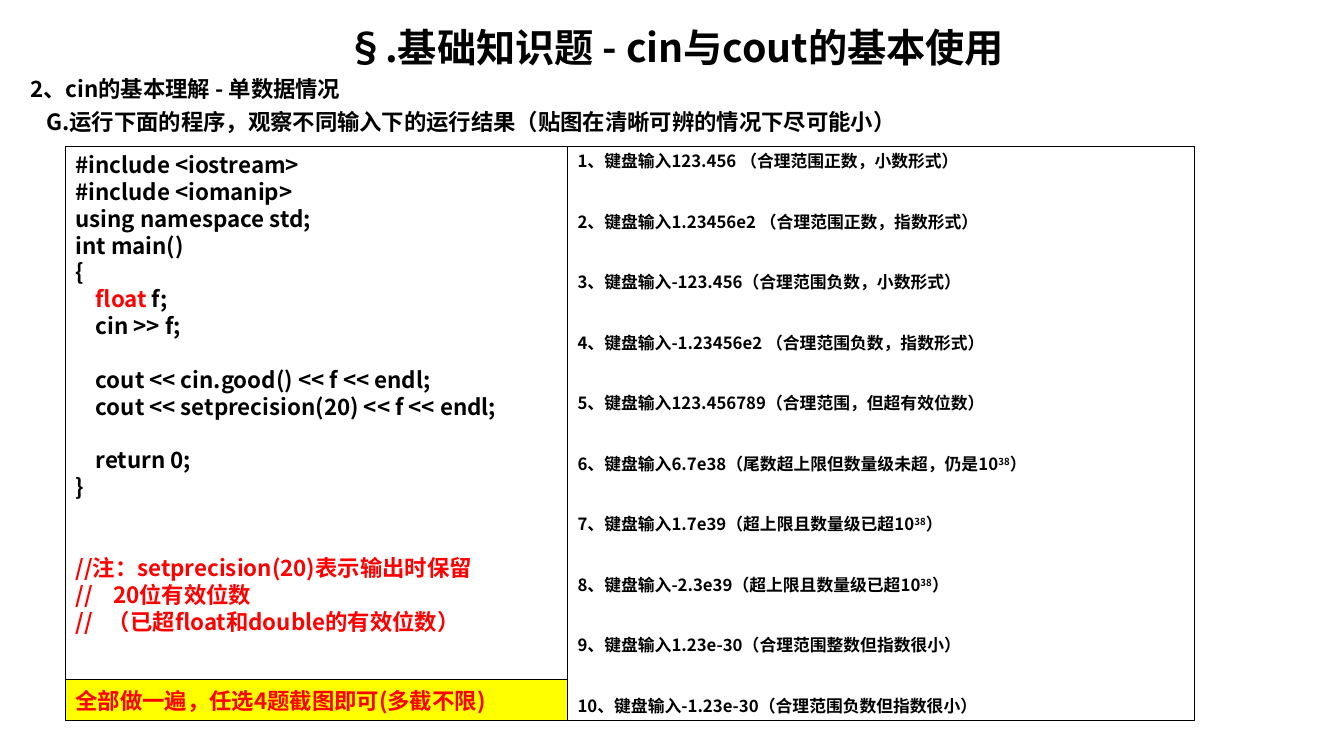
from dataclasses import dataclass

from lxml.etree import SubElement
from pptx import Presentation
from pptx.dml.color import RGBColor
from pptx.enum.shapes import MSO_SHAPE as Shape
from pptx.enum.text import MSO_ANCHOR as Anchor, PP_ALIGN as Align
from pptx.oxml.ns import qn
from pptx.util import Inches, Pt


@dataclass(frozen=True)
class Theme:
    face: str = "Noto Sans CJK SC"
    ink: RGBColor = RGBColor(0, 0, 0)
    accent: RGBColor = RGBColor(255, 0, 0)
    highlight: RGBColor = RGBColor(255, 255, 0)
    title: int = 28
    body: int = 16
    question: int = 12
    leading: float = 1.2  # line height relative to type size


THEME = Theme()

CODE = """#include <iostream>
#include <iomanip>
using namespace std;
int main()
{
    float f;
    cin >> f;

    cout << cin.good() << f << endl;
    cout << setprecision(20) << f << endl;

    return 0;
}


//注：setprecision(20)表示输出时保留
//    20位有效位数
//   （已超float和double的有效位数）"""

# A caret pair encloses an exponent
QUESTIONS = [
    "123.456 （合理范围正数，小数形式）",
    "1.23456e2 （合理范围正数，指数形式）",
    "-123.456（合理范围负数，小数形式）",
    "-1.23456e2 （合理范围负数，指数形式）",
    "123.456789（合理范围，但超有效位数）",
    "6.7e38（尾数超上限但数量级未超，仍是10^38^）",
    "1.7e39（超上限且数量级已超10^38^）",
    "-2.3e39（超上限且数量级已超10^38^）",
    "1.23e-30（合理范围整数但指数很小）",
    "-1.23e-30（合理范围负数但指数很小）",
]


def add_run(paragraph, text, size, color=THEME.ink, raised=False):
    run = paragraph.add_run()
    run.text = text
    formats = {"size": Pt(size), "bold": True, "name": THEME.face}
    for name, value in formats.items():
        setattr(run.font, name, value)
    run.font.color.rgb = color
    props = run._r.get_or_add_rPr()
    SubElement(props, qn("a:ea"), typeface=THEME.face)
    if raised:
        props.set("baseline", "30000")


def next_paragraph(frame, gap=0.0, align=Align.LEFT):
    """Use the empty first paragraph, then append spaced ones."""
    first = frame.paragraphs[0]
    if first.runs:
        first = frame.add_paragraph()
        first.space_before = Pt(gap)
    first.alignment = align
    return first


def add_panel(slide, box, anchor=Anchor.TOP, fill=None):
    panel = slide.shapes.add_shape(Shape.RECTANGLE, *map(Inches, box))
    panel.shadow.inherit = False
    if fill is None:
        panel.fill.background()
    else:
        panel.fill.solid()
        panel.fill.fore_color.rgb = fill
    panel.line.color.rgb = THEME.ink
    panel.line.width = Pt(0.75)
    panel.text_frame.word_wrap = True
    panel.text_frame.vertical_anchor = anchor
    return panel.text_frame


def add_heading(slide, box):
    frame = slide.shapes.add_textbox(*map(Inches, box)).text_frame
    frame.word_wrap = True
    gap = 0.2 * THEME.body * THEME.leading
    title = next_paragraph(frame, align=Align.CENTER)
    add_run(title, "§.基础知识题 - cin与cout的基本使用", THEME.title)
    section = next_paragraph(frame, gap)
    add_run(section, "2、cin的基本理解 - 单数据情况", THEME.body)
    task = next_paragraph(frame, gap)
    task._p.get_or_add_pPr().set("marL", str(Inches(0.16)))
    add_run(task, "G.运行下面的程序，观察不同输入下的运行结果（贴图在清晰可辨的情况下尽可能小）",
            THEME.body)


def add_code(slide, box):
    frame = add_panel(slide, box)
    gap = 0
    for line in CODE.split("\n"):
        if not line:
            gap += THEME.body * THEME.leading
            continue
        paragraph = next_paragraph(frame, gap)
        gap = 0
        if line.startswith("//"):
            add_run(paragraph, line, THEME.body, THEME.accent)
            continue
        before, keyword, after = line.partition("float")
        parts = [(before, THEME.ink), (keyword, THEME.accent), (after, THEME.ink)]
        for text, color in parts:
            if text:
                add_run(paragraph, text, THEME.body, color)


def add_questions(slide, box):
    frame = add_panel(slide, box)
    gap = 2 * THEME.question * THEME.leading
    for number, question in enumerate(QUESTIONS, 1):
        paragraph = next_paragraph(frame, gap)
        for i, part in enumerate(f"{number}、键盘输入{question}".split("^")):
            add_run(paragraph, part, THEME.question, raised=i % 2 == 1)


def add_requirement(slide, box):
    frame = add_panel(slide, box, Anchor.MIDDLE, THEME.highlight)
    add_run(next_paragraph(frame), "全部做一遍，任选4题截图即可(多截不限)",
            THEME.body, THEME.accent)


def main():
    deck = Presentation()
    deck.slide_width, deck.slide_height = Inches(13.33), Inches(7.5)
    slide = deck.slides.add_slide(deck.slide_layouts[6])

    left, top, code_width, height = 0.65, 1.45, 4.98, 5.7
    strip = 0.41
    add_heading(slide, (0.2, 0.18, 12.99, 7.09))
    add_code(slide, (left, top, code_width, height))
    add_questions(slide, (left + code_width, top, 6.22, height))
    add_requirement(slide, (left, top + height - strip, code_width, strip))
    deck.save("out.pptx")


if __name__ == "__main__":
    main()
